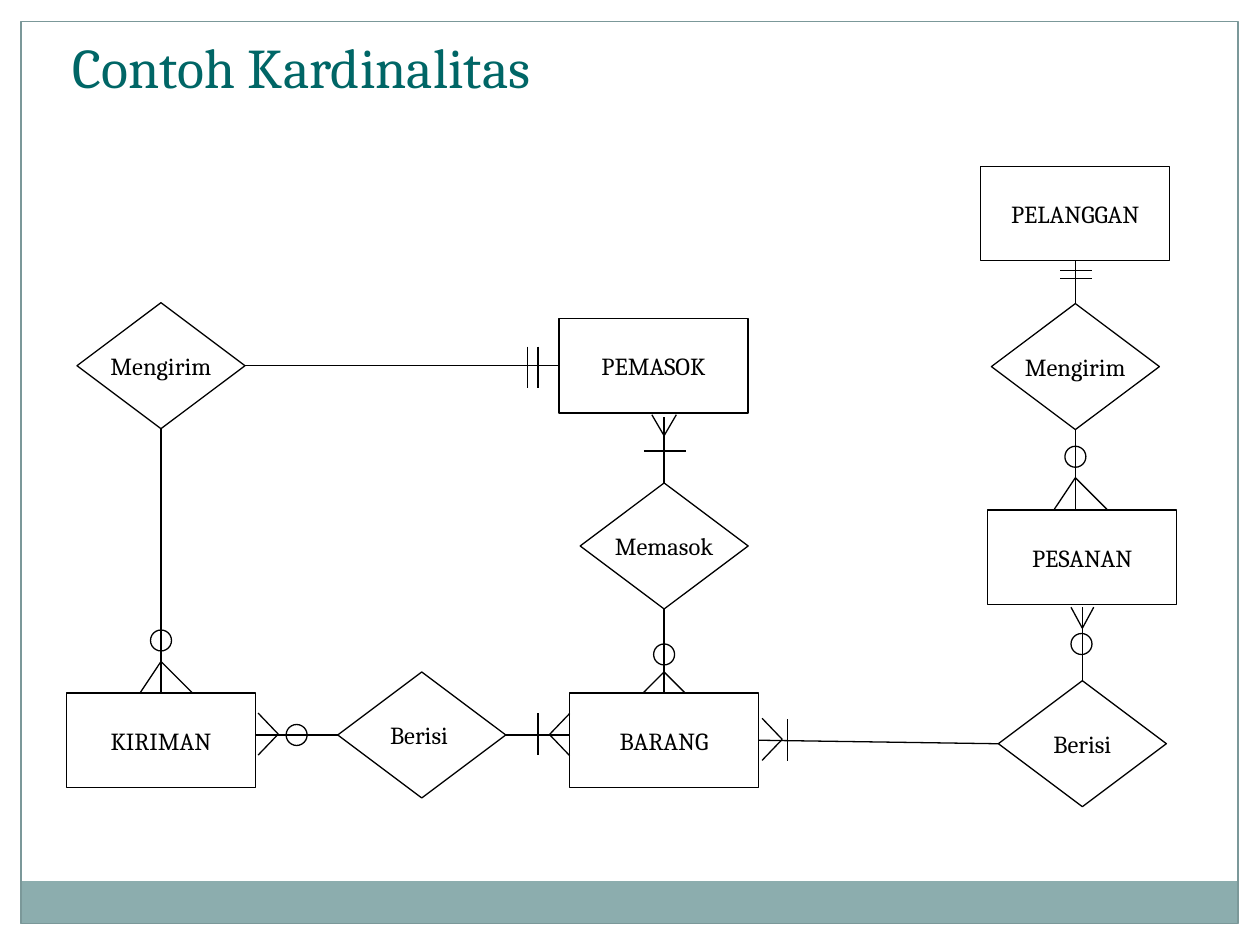
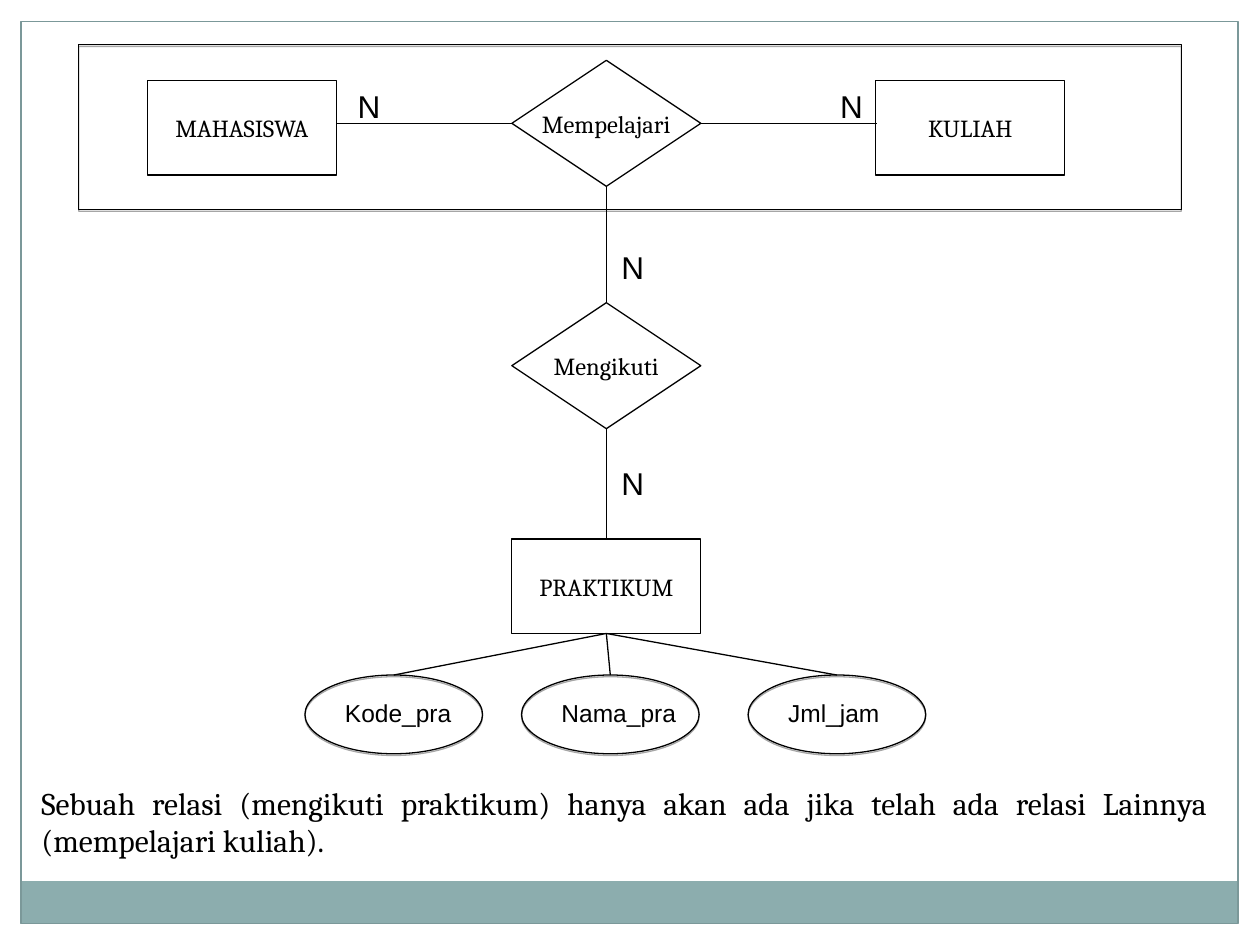
from lxml import etree
from pptx import Presentation
from pptx.dml.color import RGBColor
from pptx.enum import shapes, text
from pptx.oxml import ns
from pptx.util import Pt

COLORS = {"ink": "000000", "title": "006666", "band": "8CADAE", "frame": "7B9899"}
SERIF, SANS = "Cambria", "Arial"
RECTANGLE = shapes.MSO_SHAPE.RECTANGLE
DIAMOND = shapes.MSO_SHAPE.FLOWCHART_DECISION
OVAL = shapes.MSO_SHAPE.OVAL
ENTITY = (108, 54)
TOP, LEFT, BOTTOM, RIGHT = range(4)


def add_box(page, kind, left, top, width, height, words="", font=SERIF, size=14,
            color="ink", align=text.PP_ALIGN.CENTER, fill=None, line="ink", shadow=False):
    """Add a preset shape, or a plain text box when kind is None."""
    place = [Pt(value) for value in (left, top, width, height)]
    if kind is None:
        box = page.shapes.add_textbox(*place)
    else:
        box = page.shapes.add_shape(kind, *place)
        box.shadow.inherit = False
        if fill:
            box.fill.solid()
            box.fill.fore_color.rgb = RGBColor.from_string(COLORS[fill])
        else:
            box.fill.background()
        if line:
            box.line.color.rgb = RGBColor.from_string(COLORS[line])
            box.line.width = Pt(0.75)
        else:
            box.line.fill.background()
        if shadow:
            effects = box._element.spPr.find(ns.qn("a:effectLst"))
            outer = etree.SubElement(effects, ns.qn("a:outerShdw"),
                                     blurRad="0", dist=str(Pt(1)), dir="5400000")
            tint = etree.SubElement(outer, ns.qn("a:srgbClr"), val=COLORS["ink"])
            etree.SubElement(tint, ns.qn("a:alpha"), val="35000")
    if words:
        frame = box.text_frame
        frame.text = words
        frame.word_wrap = False
        frame.vertical_anchor = text.MSO_ANCHOR.TOP if kind is None else text.MSO_ANCHOR.MIDDLE
        paragraph = frame.paragraphs[0]
        paragraph.alignment = align
        span = paragraph.runs[0]
        span.font.name, span.font.size = font, Pt(size)
        span.font.color.rgb = RGBColor.from_string(COLORS[color])
    return box


def add_line(page, start, end):
    """Draw a line; each end is a point (x, y) or a joint (box, side)."""
    joints = [not isinstance(point[0], (int, float)) for point in (start, end)]
    spots = [(0, 0) if joint else point for joint, point in zip(joints, (start, end))]
    line = page.shapes.add_connector(shapes.MSO_CONNECTOR.STRAIGHT,
                                     *[Pt(value) for spot in spots for value in spot])
    if joints[0]:
        line.begin_connect(*start)
    if joints[1]:
        line.end_connect(*end)
    line.line.color.rgb = RGBColor.from_string(COLORS["ink"])
    line.line.width = Pt(0.75)
    etree.SubElement(line._element.spPr, ns.qn("a:effectLst"))


deck = Presentation()
deck.slide_width, deck.slide_height = Pt(720), Pt(540)
pages = [deck.slides.add_slide(deck.slide_layouts[6]) for _ in range(2)]
for page in pages:
    add_box(page, RECTANGLE, 11.75, 503.5, 695.5, 24.5, fill="band", line=None)
    add_box(page, RECTANGLE, 12, 12.25, 695.5, 515.5, line="frame")
cardinality, aggregation = pages

# Slide 1: cardinality example
title = add_box(cardinality, None, 34.5, 13, 649.5, 54.5, "Contoh Kardinalitas",
                size=32, color="title", align=text.PP_ALIGN.LEFT)
title.text_frame.word_wrap = True
title.text_frame.vertical_anchor = text.MSO_ANCHOR.MIDDLE
title.text_frame.paragraphs[0].line_spacing = 0.9

supplier, shipment, goods, customer, order = [
    add_box(cardinality, RECTANGLE, left, top, *ENTITY, words)
    for words, left, top in [
        ("PEMASOK", 319.5, 182), ("KIRIMAN", 38, 396), ("BARANG", 325.5, 396),
        ("PELANGGAN", 560.5, 95), ("PESANAN", 564.5, 291.5)]]
sends, supplies, shipment_holds, delivers, order_holds = [
    add_box(cardinality, DIAMOND, left, top, 96, 72, words)
    for words, left, top in [
        ("Mengirim", 44, 173), ("Memasok", 331.5, 276), ("Berisi ", 193, 384),
        ("Mengirim", 566.5, 173.5), ("Berisi", 570.5, 389)]]

for start, end in [
        ((sends, RIGHT), (supplier, LEFT)),
        ((sends, BOTTOM), (shipment, TOP)),
        ((379.5, 238.5), (supplies, TOP)),
        ((supplies, BOTTOM), (goods, TOP)),
        ((146, 420), (shipment_holds, LEFT)),
        ((shipment_holds, RIGHT), (325.5, 420)),
        ((goods, RIGHT), (order_holds, LEFT)),
        ((customer, BOTTOM), (delivers, TOP)),
        ((delivers, BOTTOM), (614.5, 291)),
        ((618.5, 347), (order_holds, TOP))]:
    add_line(cardinality, start, end)

# Crow's feet: apex, then the offsets of the two toes
for x, y, *toes in [
        (314, 419.75, (11.5, -12), (11.5, 12)),
        (447, 422.5, (-11.5, -12), (-11.5, 12)),
        (159, 419.5, (-11.5, -12), (-11.5, 12)),
        (92, 378, (-12, 18), (18, 18)),
        (379.5, 249, (-7, -12), (7, -12)),
        (379.5, 384, (-12, 12), (12, 12)),
        (618.5, 359, (-6.5, -12), (6.5, -12)),
        (614.5, 273, (-12, 18), (18, 18))]:
    for across, down in toes:
        add_line(cardinality, (x, y), (x + across, y + down))

# "One" bars: start and extent
for x, y, across, down in [
        (301.5, 198, 0, 24), (307.5, 198, 0, 24), (307.5, 407.5, 0, 24),
        (450, 411, 0, 24), (368, 257.75, 24, 0),
        (606, 154.75, 18, 0), (606, 159, 18, 0)]:
    add_line(cardinality, (x, y), (x + across, y + down))

# "Zero" rings
for left, top in [(86, 360), (163.5, 414), (373.5, 368), (612, 362), (608.5, 255)]:
    add_box(cardinality, OVAL, left, top, 12, 12)

# Slide 2: aggregation
add_box(aggregation, RECTANGLE, 45, 25.5, 630, 94.25, shadow=True)
student, course, practicum = [
    add_box(aggregation, RECTANGLE, left, top, *ENTITY, words)
    for words, left, top in [
        ("MAHASISWA", 84.25, 46), ("KULIAH", 500.5, 46), ("PRAKTIKUM", 292.5, 308)]]
studies, attends = [
    add_box(aggregation, DIAMOND, 292.5, top, 108, 72, words)
    for words, top in [("Mempelajari", 34.5), ("Mengikuti", 173)]]

for start, end in [
        ((studies, LEFT), (192, 70.5)),
        ((studies, RIGHT), (501, 70.5)),
        ((studies, BOTTOM), (attends, TOP)),
        ((attends, BOTTOM), (practicum, TOP))]:
    add_line(aggregation, start, end)
for left, top in [(197.25, 46), (473, 46), (348, 138.25), (348, 261.5)]:
    add_box(aggregation, None, left, top, 27.5, 29, "N", SANS, 18, align=text.PP_ALIGN.LEFT)

for words, left in [("Kode_pra", 174.25), ("Nama_pra", 298), ("Jml_jam", 427.5)]:
    attribute = add_box(aggregation, OVAL, left, 385.75, 101.5, 45, shadow=True)
    add_box(aggregation, None, left + 15.75, 395.5, 84, 24.5, words, SANS,
            align=text.PP_ALIGN.LEFT)
    add_line(aggregation, (practicum, BOTTOM), (attribute, TOP))

note = add_box(aggregation, None, 16.5, 444.25, 680.5, 50.5,
               "Sebuah relasi (mengikuti praktikum) hanya akan ada jika telah ada "
               "relasi Lainnya (mempelajari kuliah).",
               size=18, align=text.PP_ALIGN.JUSTIFY)
note.text_frame.word_wrap = True

deck.save("out.pptx")
